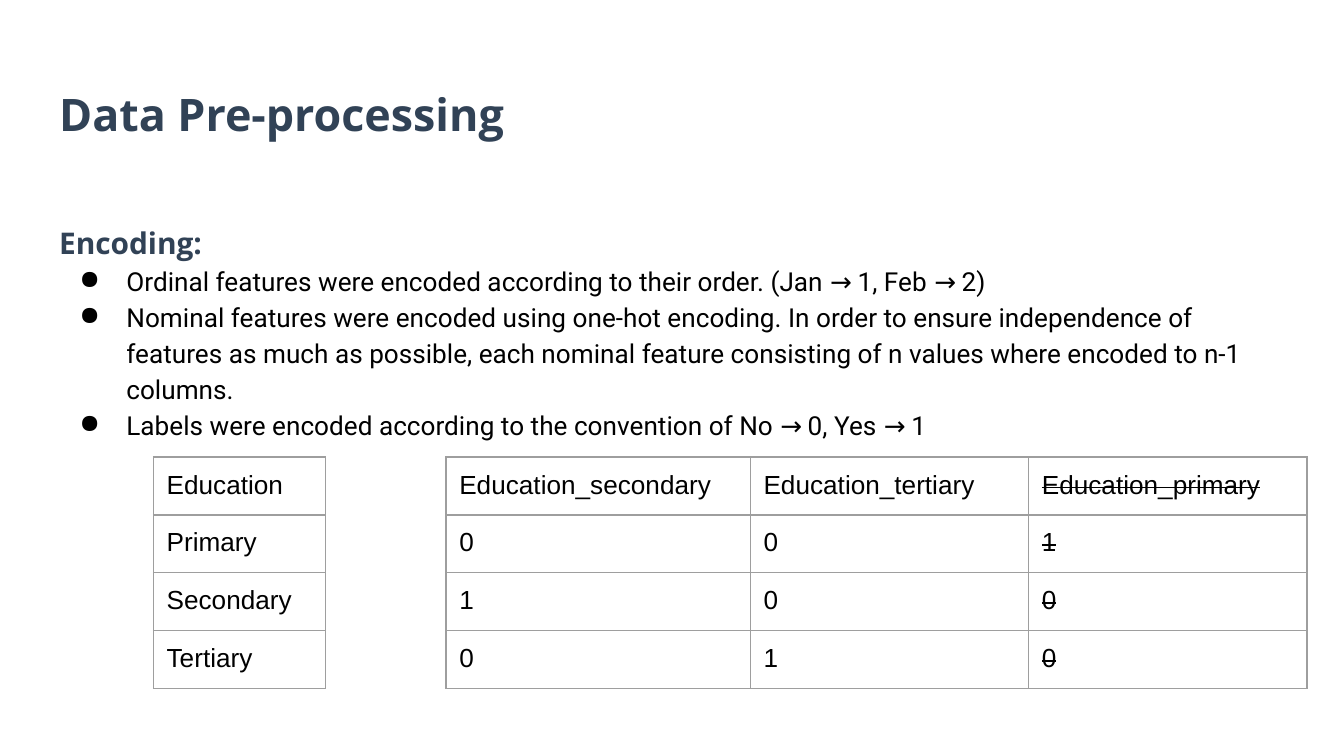
"""Build the data pre-processing slide with its encoding notes and tables."""
from lxml.etree import SubElement
from pptx import Presentation
from pptx.dml.color import RGBColor as Color
from pptx.enum.text import MSO_ANCHOR as Anchor
from pptx.oxml.ns import qn
from pptx.util import Cm, Pt

NAVY, BLACK, GREY, WHITE = "314256", "000000", "9E9E9E", "FFFFFF"
INSET = 0.25
ROW_HEIGHT = 1.06
TABLE_TOP = 8.64

TITLE = "Data Pre-processing"
HEADING = "Encoding:"
POINTS = [
    "Ordinal features were encoded according to their order. (Jan → 1, Feb → 2)",
    "Nominal features were encoded using one-hot encoding. In order to ensure "
    "independence of features as much as possible, each nominal feature "
    "consisting of n values where encoded to n-1 columns.",
    "Labels were encoded according to the convention of No → 0, Yes → 1",
]
TABLES = [
    {
        "left": 2.9,
        "widths": [3.25],
        "rows": [["Education"], ["Primary"], ["Secondary"], ["Tertiary"]],
        "struck": None,
    },
    {
        "left": 8.43,
        "widths": [5.75, 5.26, 5.26],
        "rows": [
            ["Education_secondary", "Education_tertiary", "Education_primary"],
            ["0", "0", "1"],
            ["1", "0", "0"],
            ["0", "1", "0"],
        ],
        "struck": 2,
    },
]


def paint(target, value):
    target.rgb = Color.from_string(value)


def add_span(para, text, font, size, color, bold=False):
    span = para.add_run()
    span.text = text
    span.font.name = font
    span.font.size = Pt(size)
    span.font.bold = bold
    paint(span.font.color, color)
    return span


def add_box(page, top, height, top_inset=INSET):
    box = page.shapes.add_textbox(Cm(0.87), Cm(top), Cm(23.67), Cm(height))
    frame = box.text_frame
    frame.word_wrap = True
    frame.vertical_anchor = Anchor.TOP
    frame.margin_left = frame.margin_right = frame.margin_bottom = Cm(INSET)
    frame.margin_top = Cm(top_inset)
    frame.paragraphs[0].line_spacing = 1.15
    return frame


def add_bullet(para):
    props = para._p.get_or_add_pPr()
    props.set("marL", str(Cm(1.27)))
    props.set("indent", str(-Cm(0.89)))
    color = SubElement(props, qn("a:buClr"))
    SubElement(color, qn("a:srgbClr"), val=BLACK)
    SubElement(props, qn("a:buChar"), char="●")


def add_borders(cell):
    props = cell._tc.get_or_add_tcPr()
    for side in ("lnL", "lnR", "lnT", "lnB"):
        line = SubElement(props, qn(f"a:{side}"), w=str(Pt(0.75)))
        fill = SubElement(line, qn("a:solidFill"))
        SubElement(fill, qn("a:srgbClr"), val=GREY)


def add_grid(page, left, widths, rows, struck):
    frame = page.shapes.add_table(
        len(rows), len(widths), Cm(left), Cm(TABLE_TOP),
        Cm(sum(widths)), Cm(ROW_HEIGHT * len(rows)))
    table = frame.table
    table.first_row = table.horz_banding = False
    for column, width in zip(table.columns, widths):
        column.width = Cm(width)
    for r, values in enumerate(rows):
        table.rows[r].height = Cm(ROW_HEIGHT)
        for c, value in enumerate(values):
            cell = table.cell(r, c)
            cell.margin_left = cell.margin_right = Cm(INSET)
            cell.margin_top = cell.margin_bottom = Cm(INSET)
            add_borders(cell)
            cell.fill.background()
            span = add_span(cell.text_frame.paragraphs[0], value, "Arial", 14, BLACK)
            if c == struck:
                span.font._element.set("strike", "sngStrike")


def main():
    deck = Presentation()
    deck.slide_width, deck.slide_height = Cm(25.4), Cm(14.29)
    page = deck.slides.add_slide(deck.slide_layouts[6])
    page.background.fill.solid()
    paint(page.background.fill.fore_color, WHITE)

    title = add_box(page, 1.24, 1.6)
    add_span(title.paragraphs[0], TITLE, "Open Sans", 24, NAVY, bold=True)

    body = add_box(page, 3.2, 9.5, top_inset=0.95)
    add_span(body.paragraphs[0], HEADING, "Open Sans", 16, NAVY, bold=True)
    for point in POINTS:
        para = body.add_paragraph()
        para.line_spacing = 1.15
        add_bullet(para)
        add_span(para, point, "Roboto", 14, BLACK)

    for table in TABLES:
        add_grid(page, **table)
    deck.save("out.pptx")


if __name__ == "__main__":
    main()
